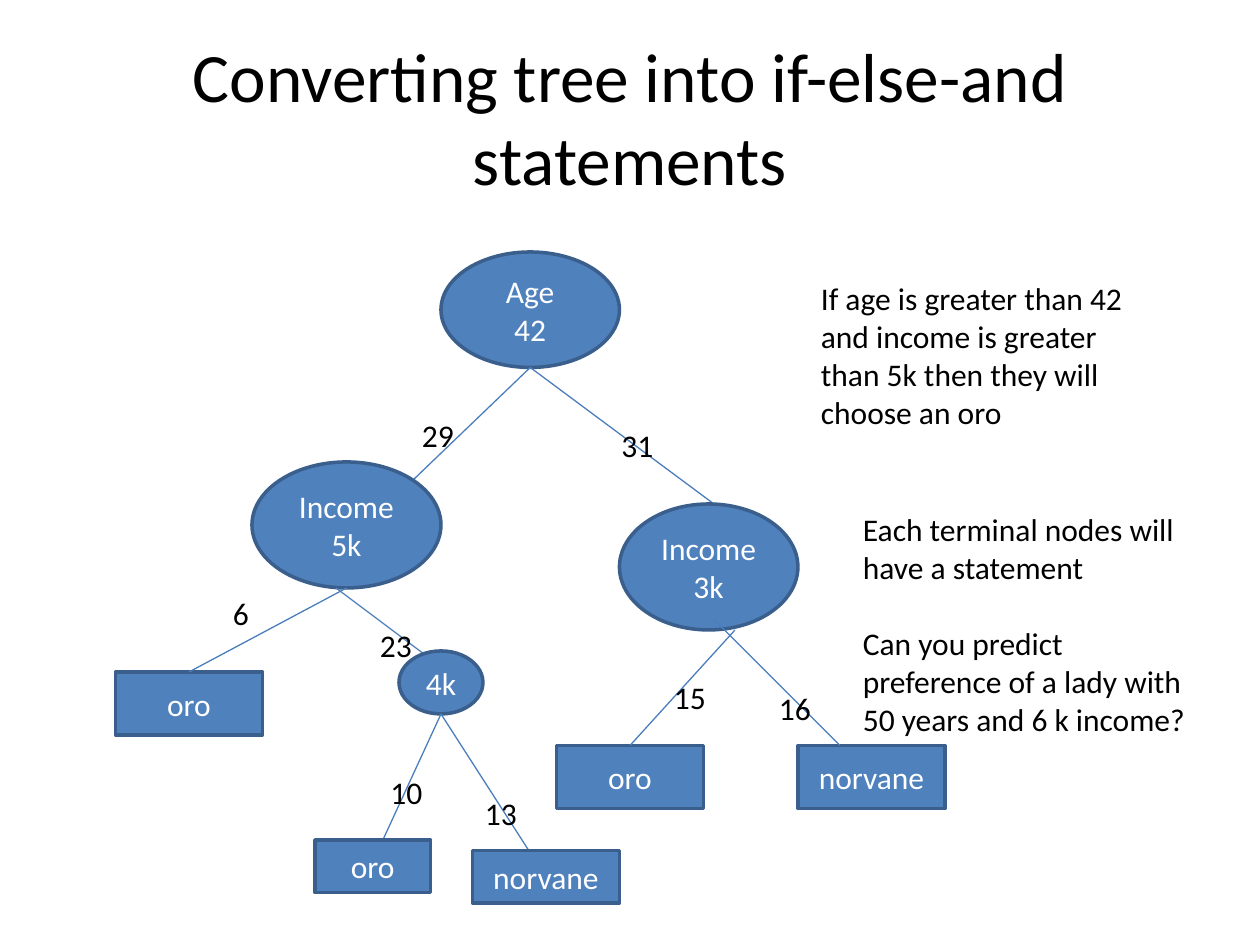
from lxml.etree import SubElement
from pptx import Presentation
from pptx.dml.color import RGBColor
from pptx.enum.shapes import MSO_CONNECTOR, MSO_SHAPE
from pptx.enum.text import MSO_ANCHOR, MSO_AUTO_SIZE, PP_ALIGN
from pptx.oxml.ns import qn
from pptx.util import Inches, Pt

COLS, ROWS = 120, 90
WIDE, HIGH = Inches(10), Inches(7.5)
OVAL, RECT = MSO_SHAPE.OVAL, MSO_SHAPE.RECTANGLE

LEVELS = [
    (
        [("root", OVAL, "Age\n42", (31, 0, 17, 11))],
        [((39.5, 11), (27, 23), None), ((39.5, 11), (57, 24), None)],
    ),
    (
        [
            ("rich", OVAL, "Income\n5k", (13, 20, 18, 12)),
            ("poor", OVAL, "Income\n3k", (48, 24, 17, 12)),
            ("left", RECT, "oro", (0, 40, 14, 6)),
            ("right", RECT, "norvane", (65, 47, 14, 6)),
            ("mid", RECT, "oro", (42, 47, 14, 6)),
        ],
        [
            ((22, 32), (7, 40), "left"),
            ((21, 32), (33, 41), None),
            ((57, 35), (69, 47), None),
            ((59, 36), (49, 47), "mid"),
        ],
    ),
    (
        [("split", OVAL, "4k", (27, 38, 8, 6))],
        [((31, 44), (40, 58), None), ((31, 44), (25, 57), None)],
    ),
    (
        [
            ("low", RECT, "oro", (19, 56, 11, 5)),
            ("last", RECT, "norvane", (34, 57, 14, 5)),
        ],
        [],
    ),
]

COUNTS = [
    ("29", 28, 15, 6),
    ("31", 47, 16, 11),
    ("15", 52, 40, 6),
    ("16", 62, 41, 8),
    ("6", 10, 32, 8),
    ("23", 24, 35, 8),
    ("10", 25, 49, 7),
    ("13", 34, 51, 7),
]


def color(code):
    return RGBColor.from_string(code)


def spot(x, y):
    return round(WIDE * x / COLS), round(HIGH * y / ROWS)


def place(box, part):
    x, y, w, h = part
    return spot(box[0] + x, box[1] + y) + spot(w, h)


def style(frame, size, code, align):
    for para in frame.paragraphs:
        para.alignment = align
        for run in para.runs:
            run.font.size = Pt(size)
            run.font.name = "Calibri"
            run.font.color.rgb = color(code)


def head(slide, box):
    title = slide.shapes.title
    title.left, title.top, title.width, title.height = place(box, (0, 0) + box[2:])
    frame = title.text_frame
    frame.text = "Converting tree into if-else-and statements"
    frame.auto_size = MSO_AUTO_SIZE.NONE
    frame.vertical_anchor = MSO_ANCHOR.MIDDLE
    style(frame, 39.6, "000000", PP_ALIGN.CENTER)


def node(slide, box, kind, text, part):
    shape = slide.shapes.add_shape(kind, *place(box, part))
    shape.shadow.inherit = False
    shape.fill.solid()
    shape.fill.fore_color.rgb = color("4F81BD")
    shape.line.color.rgb = color("3A5F8C")
    shape.line.width = Pt(2)
    frame = shape.text_frame
    frame.text = text
    frame.vertical_anchor = MSO_ANCHOR.MIDDLE
    style(frame, 18, "FFFFFF", PP_ALIGN.CENTER)
    return shape


def edge(slide, box, start, end, goal):
    ends = [spot(box[0] + x, box[1] + y) for x, y in (start, end)]
    line = slide.shapes.add_connector(MSO_CONNECTOR.STRAIGHT, *ends[0], *ends[1])
    line.line.color.rgb = color("4B7EBC")
    line.line.width = Pt(0.75)
    SubElement(line.element.spPr, qn("a:effectLst"))
    if goal is not None:
        line.end_connect(goal, 0)


def label(slide, box, text, part):
    frame = slide.shapes.add_textbox(*place(box, part)).text_frame
    frame.word_wrap = True
    frame.auto_size = MSO_AUTO_SIZE.SHAPE_TO_FIT_TEXT
    frame.text = text
    style(frame, 18, "000000", PP_ALIGN.LEFT)
    return frame


def tree(slide, box):
    made = {}
    for nodes, edges in LEVELS:
        for name, kind, text, part in nodes:
            made[name] = node(slide, box, kind, text, part)
        for start, end, goal in edges:
            edge(slide, box, start, end, made.get(goal))
    for text, x, y, w in COUNTS:
        label(slide, box, text, (x, y, w, 4.8))


def notes(slide, box):
    rule = "If age is greater than 42 and income is greater than 5k then they will choose an oro"
    label(slide, box, rule, (0, 0, 34, 15.7))
    task = (
        "Each terminal nodes will have a statement\n"
        "Can you predict preference of a lady with 50 years and 6 k income?"
    )
    frame = label(slide, box, task, (4, 22, 35, 23))
    frame.paragraphs[1].space_before = Pt(22)


def main():
    deck = Presentation()
    deck.slide_width, deck.slide_height = WIDE, HIGH
    slide = deck.slides.add_slide(deck.slide_layouts[5])
    head(slide, (6, 3.6, 108, 15))
    tree(slide, (11, 24, 79, 62))
    notes(slide, (77, 26, 39, 45))
    deck.save("out.pptx")


if __name__ == "__main__":
    main()
